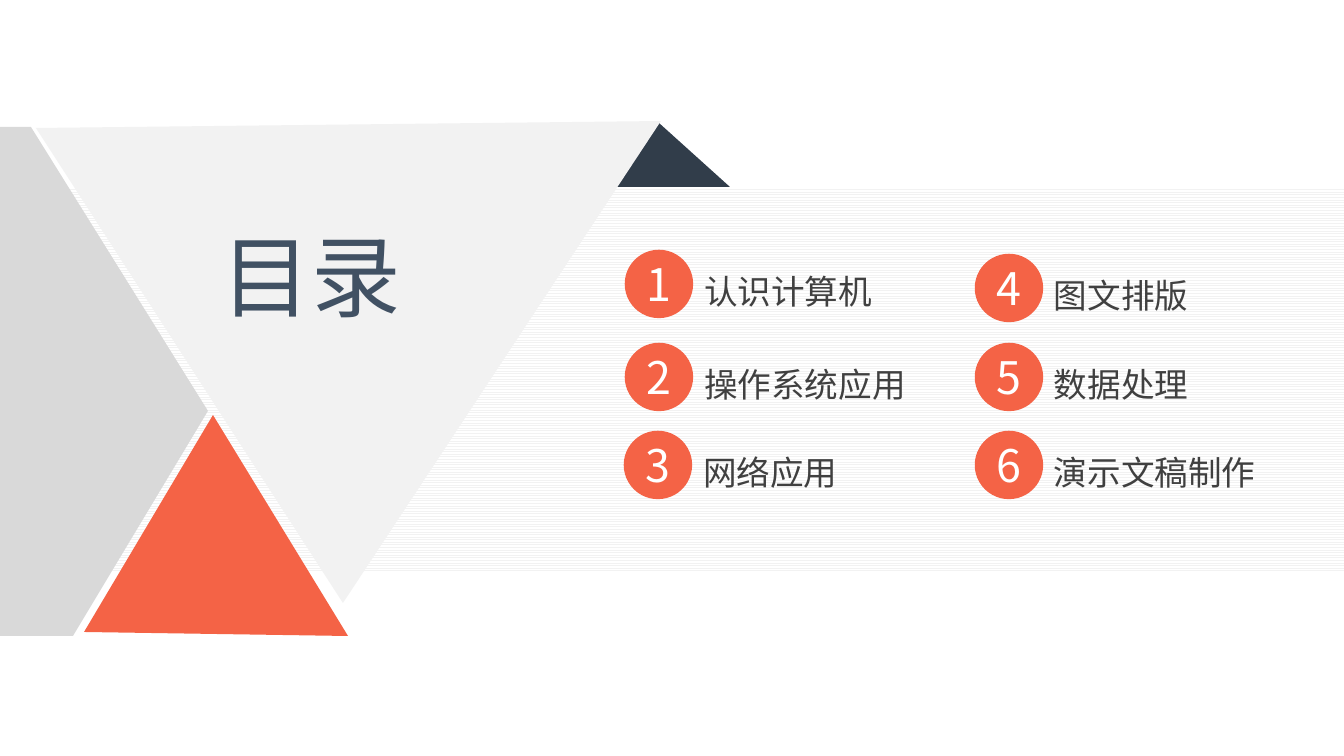
from dataclasses import dataclass

from pptx import Presentation
from pptx.dml.color import RGBColor
from pptx.enum.dml import MSO_PATTERN
from pptx.enum.shapes import MSO_SHAPE
from pptx.enum.text import MSO_ANCHOR, MSO_AUTO_SIZE, PP_ALIGN
from pptx.oxml.ns import qn
from pptx.shapes.autoshape import Shape
from pptx.slide import Slide
from pptx.text.text import TextFrame
from pptx.util import Emu, Pt

WIDTH, HEIGHT = 1344, 756
SCALE = 9144000 / WIDTH


@dataclass(frozen=True)
class Theme:
    font: str = "Noto Sans CJK SC"
    accent: str = "F46346"
    navy: str = "313D4A"
    title: str = "415163"
    text: str = "404040"
    white: str = "FFFFFF"
    light: str = "F2F2F2"
    gray: str = "D9D9D9"
    title_size: int = 48
    number_size: int = 24
    label_size: int = 18
    ring_width: float = 4.5


@dataclass(frozen=True)
class Entry:
    number: int
    label: str
    left: int
    top: int


@dataclass(frozen=True)
class Polygon:
    color: str
    points: tuple[tuple[int, int], ...]


THEME = Theme()
CIRCLE = 60
LABEL_OFFSET = (75, 17)
LABEL_SIZE = (235, 40)

ENTRIES = (
    Entry(1, "认识计算机", 629, 254),
    Entry(2, "操作系统应用", 629, 347),
    Entry(3, "网络应用", 628, 435),
    Entry(4, "图文排版", 979, 258),
    Entry(5, "数据处理", 979, 347),
    Entry(6, "演示文稿制作", 979, 435),
)

POLYGONS = (
    Polygon(THEME.light, ((661, 121), (343, 603), (36, 128))),
    Polygon(THEME.gray, ((31, 127), (208, 411), (73, 636), (0, 636), (0, 127))),
    Polygon(THEME.accent, ((348, 636), (213, 415), (84, 632))),
)


def px(value: int) -> Emu:
    return Emu(round(value * SCALE))


def box(*lengths: int) -> list[Emu]:
    return [px(length) for length in lengths]


def rgb(color: str) -> RGBColor:
    return RGBColor.from_string(color)


def paint(shape: Shape, color: str) -> None:
    """Give a shape a plain fill, with no line or shadow."""
    shape.shadow.inherit = False
    shape.fill.solid()
    shape.fill.fore_color.rgb = rgb(color)
    shape.line.fill.background()


def write(frame: TextFrame, text: str, *, size: int, color: str,
          align: PP_ALIGN = PP_ALIGN.LEFT, anchor: MSO_ANCHOR = MSO_ANCHOR.MIDDLE,
          wrap: bool = True, grow: bool = False, inset: bool = False) -> None:
    frame.word_wrap = wrap
    frame.auto_size = MSO_AUTO_SIZE.SHAPE_TO_FIT_TEXT if grow else MSO_AUTO_SIZE.NONE
    frame.vertical_anchor = anchor
    if not inset:
        frame.margin_left = frame.margin_right = 0
        frame.margin_top = frame.margin_bottom = 0
    paragraph = frame.paragraphs[0]
    paragraph.alignment = align
    run = paragraph.add_run()
    run.text = text
    run.font.size = Pt(size)
    run.font.color.rgb = rgb(color)
    run.font.name = THEME.font
    east_asian = run.font._element.makeelement(qn("a:ea"), {"typeface": THEME.font})
    run.font._element.find(qn("a:latin")).addnext(east_asian)


def draw_band(slide: Slide) -> None:
    band = slide.shapes.add_shape(MSO_SHAPE.RECTANGLE, *box(0, 187, WIDTH, 384))
    paint(band, THEME.white)
    band.fill.patterned()
    band.fill.pattern = MSO_PATTERN.LIGHT_HORIZONTAL
    band.fill.fore_color.rgb = rgb(THEME.light)
    band.fill.back_color.rgb = rgb(THEME.white)


def draw_fold(slide: Slide) -> None:
    fold = slide.shapes.add_shape(MSO_SHAPE.ISOSCELES_TRIANGLE, *box(606, 121, 124, 66))
    fold.adjustments[0] = 0.41
    paint(fold, THEME.navy)


def draw_polygon(slide: Slide, polygon: Polygon) -> None:
    start, *others = polygon.points
    builder = slide.shapes.build_freeform(*start, scale=SCALE)
    builder.add_line_segments(others, close=True)
    paint(builder.convert_to_shape(), polygon.color)


def place_title(slide: Slide, text: str) -> None:
    """Format the title placeholder and bring it in front of the triangles."""
    title = slide.shapes.title
    title.left, title.top, title.width, title.height = box(208, 214, 208, 122)
    write(title.text_frame, text, size=THEME.title_size, color=THEME.title,
          anchor=MSO_ANCHOR.TOP, wrap=False, grow=True, inset=True)
    title.element.getparent().append(title.element)


def draw_entry(slide: Slide, entry: Entry) -> None:
    group = slide.shapes.add_group_shape()
    circle = group.shapes.add_shape(
        MSO_SHAPE.OVAL, *box(entry.left, entry.top, CIRCLE, CIRCLE))
    paint(circle, THEME.accent)
    circle.line.color.rgb = rgb(THEME.accent)
    circle.line.width = Pt(THEME.ring_width)
    write(circle.text_frame, str(entry.number), size=THEME.number_size,
          color=THEME.white, align=PP_ALIGN.CENTER)

    right, down = LABEL_OFFSET
    label = group.shapes.add_textbox(
        *box(entry.left + right, entry.top + down, *LABEL_SIZE))
    write(label.text_frame, entry.label, size=THEME.label_size,
          color=THEME.text, grow=True)


def main() -> None:
    presentation = Presentation()
    presentation.slide_width, presentation.slide_height = box(WIDTH, HEIGHT)
    slide = presentation.slides.add_slide(presentation.slide_layouts[5])
    draw_band(slide)
    draw_fold(slide)
    for polygon in POLYGONS:
        draw_polygon(slide, polygon)
    place_title(slide, "目录")
    for entry in ENTRIES:
        draw_entry(slide, entry)
    presentation.save("out.pptx")


if __name__ == "__main__":
    main()
